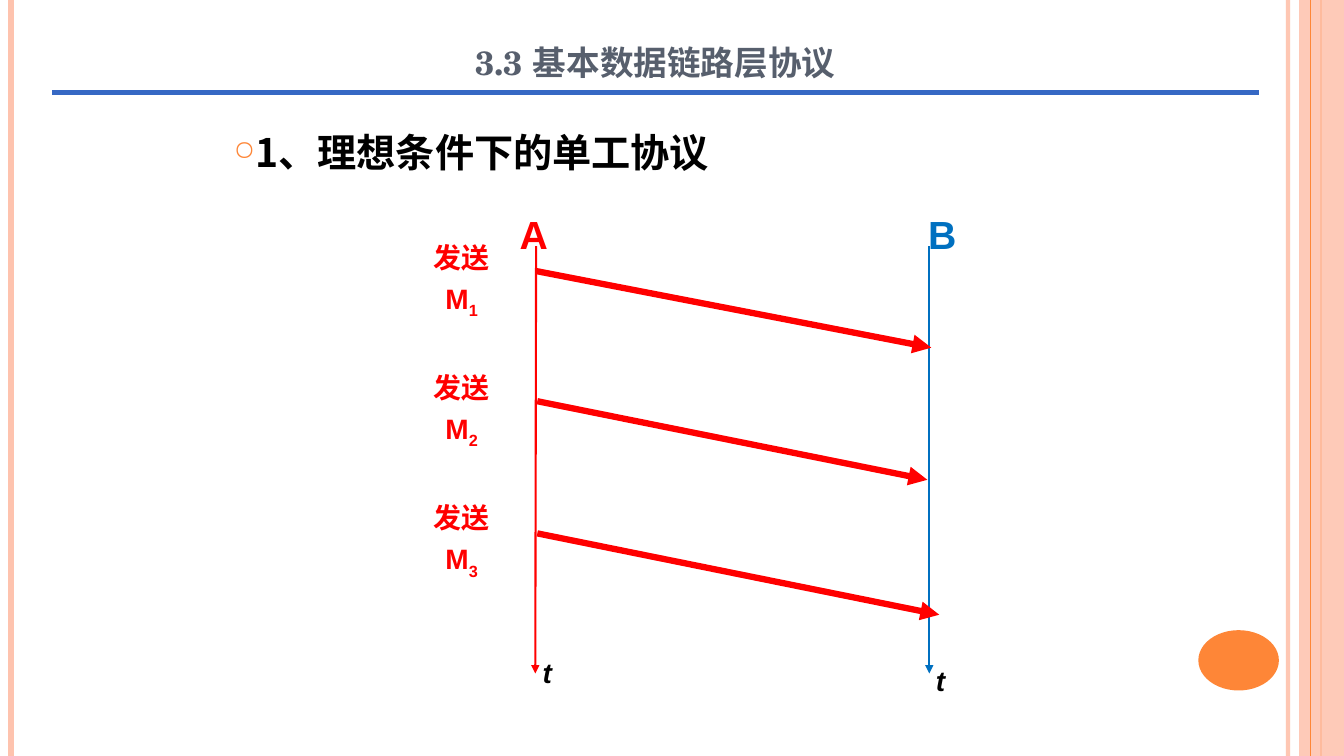
from dataclasses import dataclass, field

from lxml.etree import SubElement
from pptx import Presentation
from pptx.dml.color import RGBColor
from pptx.enum.shapes import MSO_CONNECTOR, MSO_SHAPE
from pptx.enum.text import MSO_ANCHOR, PP_ALIGN
from pptx.oxml.ns import qn
from pptx.util import Cm, Pt

PAGE_WIDTH, PAGE_HEIGHT = 33.87, 19.05
ORANGE, PEACH, BLUE = "FE8637", "FEC3AE", "3668C4"
RED, AZURE, BLACK, SLATE = "FF0000", "0070C0", "000000", "575F6D"
LATIN, HAN, SERIF = "Arial", "Noto Sans CJK SC", "TeX Gyre Schola"


@dataclass
class Line:
    start: tuple[float, float]
    end: tuple[float, float]
    color: str
    width: float
    arrow: bool = False
    opacity: int = 100


@dataclass
class Label:
    text: str
    area: tuple[float, float, float, float]
    color: str
    size: float
    font: str = LATIN
    italic: bool = False
    subscript: str = ""
    bullet: str = ""
    small_caps: bool = False
    frame: dict = field(default_factory=dict)
    para: dict = field(default_factory=dict)


def rgb(color: str) -> RGBColor:
    return RGBColor.from_string(color)


def set_all(target, values: dict) -> None:
    for name, value in values.items():
        setattr(target, name, value)


def set_opacity(parent, percent: int) -> None:
    """Make the solid colour inside an XML element partly transparent."""
    if percent < 100:
        color = parent.find(f"{qn('a:solidFill')}/{qn('a:srgbClr')}")
        SubElement(color, qn("a:alpha"), val=str(percent * 1000))


def draw_line(page, line: Line) -> None:
    ends = [Cm(value) for value in line.start + line.end]
    connector = page.shapes.add_connector(MSO_CONNECTOR.STRAIGHT, *ends)
    connector.line.color.rgb = rgb(line.color)
    connector.line.width = Pt(line.width)
    properties = connector.element.spPr
    outline = properties.find(qn("a:ln"))
    set_opacity(outline, line.opacity)
    if line.arrow:
        SubElement(outline, qn("a:tailEnd"), type="triangle")
    SubElement(properties, qn("a:effectLst"))


def draw_shape(page, kind: MSO_SHAPE, area: tuple, color: str, opacity: int = 100) -> None:
    shape = page.shapes.add_shape(kind, *map(Cm, area))
    shape.shadow.inherit = False
    shape.fill.solid()
    shape.fill.fore_color.rgb = rgb(color)
    shape.line.fill.background()
    set_opacity(shape.element.spPr, opacity)


def add_bullet(para, character: str) -> None:
    properties = para._p.get_or_add_pPr()
    properties.set("marL", str(Cm(0.38)))
    properties.set("indent", str(-Cm(0.38)))
    color = SubElement(properties, qn("a:buClr"))
    SubElement(color, qn("a:srgbClr"), val=ORANGE)
    SubElement(properties, qn("a:buSzPct"), val="70000")
    SubElement(properties, qn("a:buChar"), char=character)


def add_span(para, label: Label, text: str):
    span = para.add_run()
    span.text = text
    set_all(span.font, {"name": label.font, "size": Pt(label.size),
                        "bold": True, "italic": label.italic})
    span.font.color.rgb = rgb(label.color)
    properties = span.font._element
    SubElement(properties, qn("a:ea"), typeface=HAN)
    if label.small_caps:
        properties.set("cap", "small")
    return span


def draw_label(page, label: Label) -> None:
    box = page.shapes.add_textbox(*map(Cm, label.area))
    set_all(box.text_frame, {"word_wrap": False} | label.frame)
    para = box.text_frame.paragraphs[0]
    if label.bullet:
        add_bullet(para, label.bullet)
    set_all(para, {"alignment": PP_ALIGN.CENTER, "line_spacing": 1.2} | label.para)
    add_span(para, label, label.text)
    if label.subscript:
        lowered = add_span(para, label, label.subscript)
        lowered.font._element.set("baseline", "-25000")


def vertical(x: float, color: str, width: float, opacity: int = 100) -> Line:
    return Line((x, 0), (x, PAGE_HEIGHT), color, width, opacity=opacity)


def draw_side_bands(page) -> None:
    for line in (vertical(32.46, PEACH, 3, 93), vertical(0.28, PEACH, 4.5),
                 vertical(33.3, ORANGE, 1.5)):
        draw_line(page, line)
    draw_shape(page, MSO_SHAPE.RECTANGLE, (32.74, 0, 1.13, PAGE_HEIGHT), PEACH, 87)
    draw_line(page, vertical(33.02, ORANGE, 0.75))
    draw_shape(page, MSO_SHAPE.OVAL, (30.2, 15.88, 2.03, 1.52), ORANGE)


def draw_headings(page) -> None:
    draw_label(page, Label(
        "3.3 基本数据链路层协议", (5.72, 0, 21.59, 2.24), SLATE, 30, SERIF, small_caps=True,
        frame={"word_wrap": True, "vertical_anchor": MSO_ANCHOR.BOTTOM},
        para={"line_spacing": 1.0}))
    draw_line(page, Line((1.32, 2.34), (31.72, 2.34), BLUE, 3.5))
    draw_label(page, Label(
        "1、理想条件下的单工协议", (5.64, 3.12, 22.6, 2.36), BLACK, 28, HAN, bullet="○",
        frame={"word_wrap": True},
        para={"alignment": PP_ALIGN.LEFT, "line_spacing": 1.0}))


def draw_time_axes(page) -> None:
    draw_line(page, Line((13.51, 6.2), (13.49, 16.97), RED, 1.5, arrow=True))
    draw_line(page, Line((23.42, 6.2), (23.42, 16.97), AZURE, 1.5, arrow=True))
    draw_label(page, Label("A", (12.83, 4.93, 1.24, 1.7), RED, 28))
    draw_label(page, Label("B", (23.14, 4.93, 1.02, 1.7), AZURE, 28))
    for left, top in ((13.41, 16.23), (23.32, 16.43)):
        draw_label(page, Label("t", (left, top, 0.76, 1.3), BLACK, 20, italic=True))


def draw_messages(page) -> None:
    arrows = (((13.51, 6.83), (23.47, 8.76)),
              ((13.54, 10.11), (23.37, 12.09)),
              ((13.54, 13.44), (23.67, 15.49)))
    narrow = {"word_wrap": True, "margin_left": 0, "margin_right": Cm(1.17), "margin_top": 0}
    for index, (start, end) in enumerate(arrows):
        draw_line(page, Line(start, end, RED, 4.5, arrow=True))
        draw_label(page, Label("发送 M", (10.72, 5.89 + 3.28 * index, 3, 1.27), RED, 20,
                               subscript=str(index + 1), frame=narrow))


def main() -> None:
    deck = Presentation()
    set_all(deck, {"slide_width": Cm(PAGE_WIDTH), "slide_height": Cm(PAGE_HEIGHT)})
    page = deck.slides.add_slide(deck.slide_layouts[6])
    for draw in (draw_side_bands, draw_headings, draw_time_axes, draw_messages):
        draw(page)
    deck.save("out.pptx")


if __name__ == "__main__":
    main()
